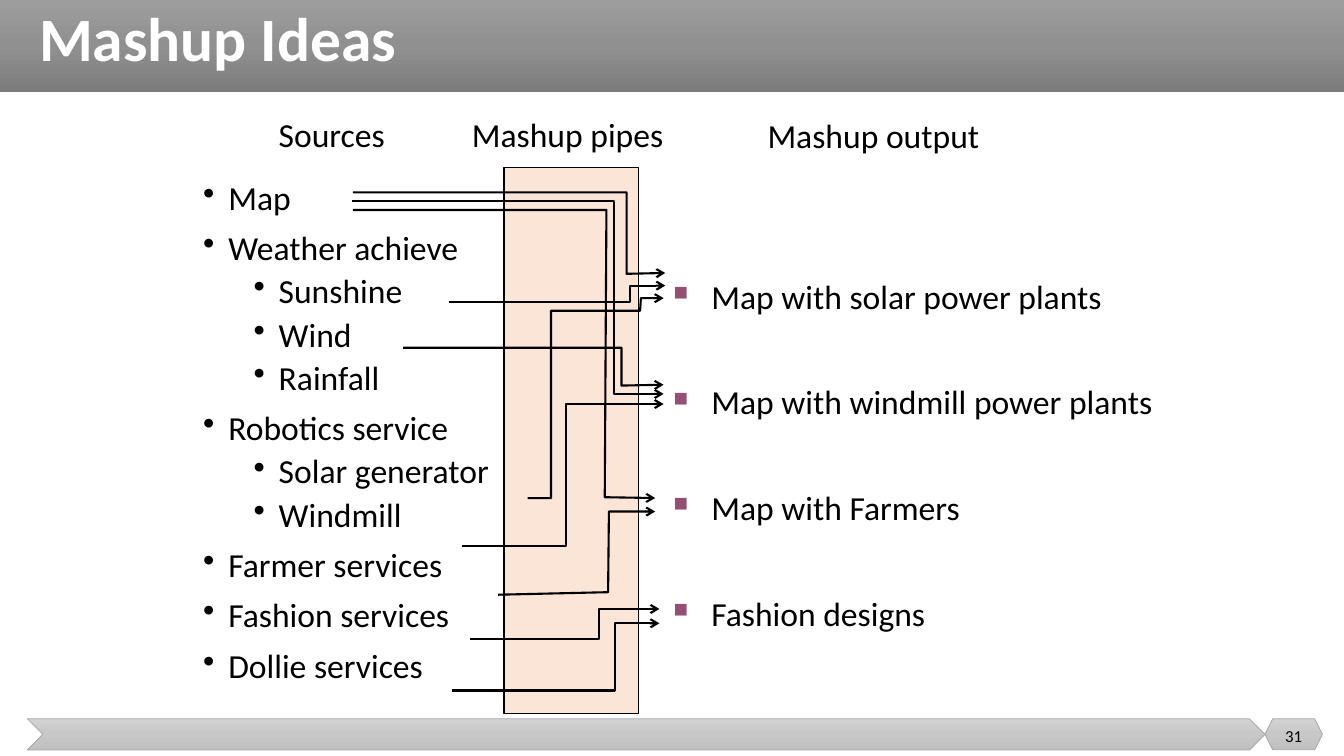
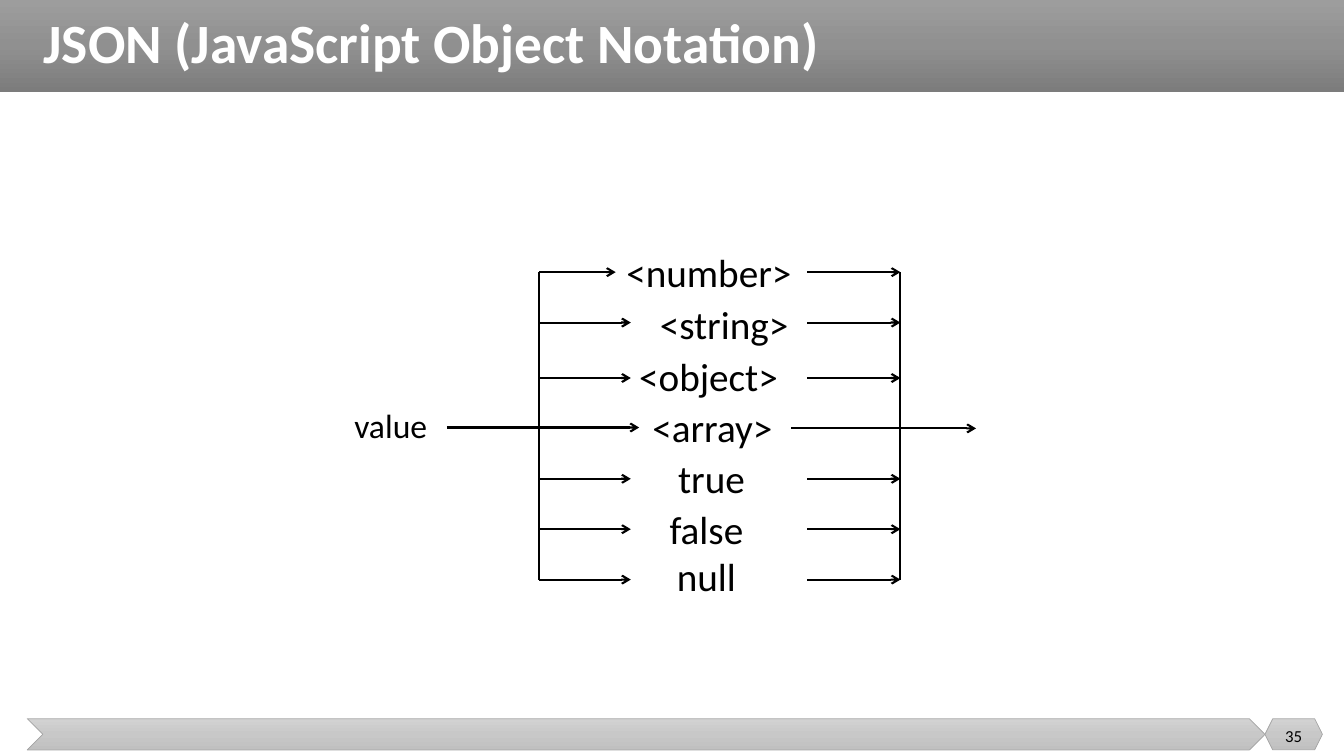
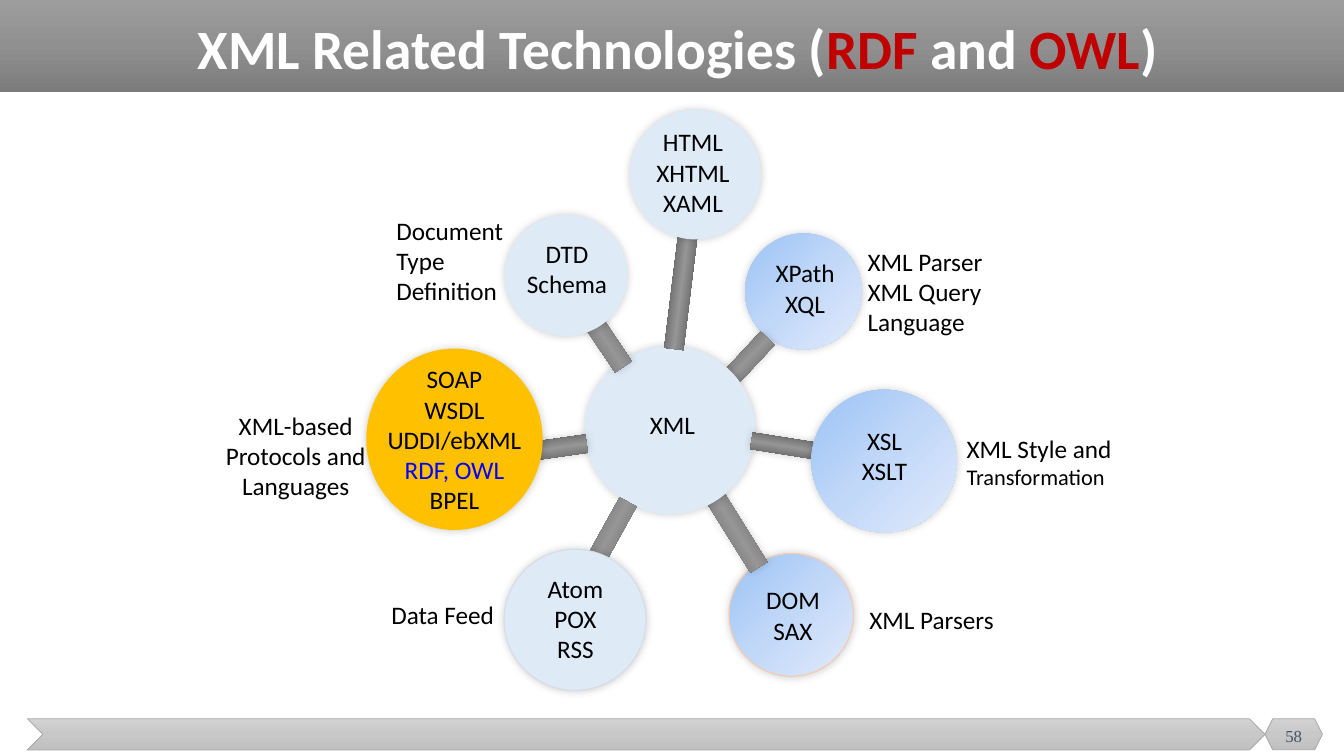
from dataclasses import dataclass

from lxml.etree import SubElement
from pptx import Presentation
from pptx.dml.color import RGBColor
from pptx.enum.shapes import MSO_CONNECTOR, MSO_SHAPE
from pptx.enum.text import MSO_ANCHOR, PP_ALIGN
from pptx.oxml.ns import qn
from pptx.util import Emu, Pt

CELL = 152400  # the slide is a grid of 80 columns by 45 rows
COLUMNS, ROWS = 80, 45
LEFT, CENTER, RIGHT = PP_ALIGN.LEFT, PP_ALIGN.CENTER, PP_ALIGN.RIGHT


@dataclass(frozen=True)
class Theme:
    font: str = "Calibri"
    number_font: str = "Times New Roman"
    ink: str = "000000"
    paper: str = "FFFFFF"
    slate: str = "44546A"
    red: str = "C00000"
    blue: str = "0000FF"
    plum: str = "954F72"
    peach: str = "FBE5D6"
    peach_edge: str = "F8CBAD"
    pale: str = "DEEBF7"
    pale_edge: str = "D6DCE5"
    gold: str = "FFC000"
    footer_edge: str = "A5A5A5"
    # gradients: three stops, then the clockwise angle
    band: tuple = ("9D9D9D", "909090", "7C7C7C", 90)
    footer: tuple = ("D2D2D2", "C8C8C8", "C0C0C0", 90)
    sky: tuple = ("9AC3F5", "C2D8F8", "E1EBFB", 45)
    steel: tuple = ("454545", "969696", "454545", 90)
    # type sizes
    large_title: float = 44
    title: float = 39.6
    term: float = 28
    body: float = 24
    label: float = 18
    note: float = 16
    number: float = 12


THEME = Theme()


@dataclass
class Line:
    """One paragraph; empty values fall back to those of its box."""
    text: str
    size: float = 0
    colour: str = ""


@dataclass
class Node:
    """A circle around the hub, with its rod and its side label."""
    lines: list
    circle: tuple
    rod: tuple
    turn: int
    words: tuple
    fill: object = THEME.pale
    edge: str = ""
    rod_shadow: bool = True
    label: tuple = ()
    label_at: tuple = ()
    label_align: object = CENTER


def cells(*lengths):
    return [Emu(round(length * CELL)) for length in lengths]


def rgb(code):
    return RGBColor.from_string(code)


# Shapes and lines
def paint(shape, fill):
    if isinstance(fill, str):
        shape.fill.solid()
        shape.fill.fore_color.rgb = rgb(fill)
        return
    *stops, angle = fill
    shape.fill.gradient()
    shape.fill.gradient_angle = 360 - angle
    stop_list = shape._element.spPr.find(qn("a:gradFill")).find(qn("a:gsLst"))
    for old in list(stop_list):
        stop_list.remove(old)
    for place, colour in zip((0, 50000, 100000), stops):
        stop = SubElement(stop_list, qn("a:gs"), pos=str(place))
        SubElement(stop, qn("a:srgbClr"), val=colour)


def add_soft_shadow(shape):
    effects = shape._element.spPr.find(qn("a:effectLst"))
    shadow = SubElement(effects, qn("a:outerShdw"), blurRad=str(Pt(6)),
                        dist="0", dir="18900000", rotWithShape="0")
    colour = SubElement(shadow, qn("a:srgbClr"), val=THEME.ink)
    SubElement(colour, qn("a:alpha"), val="20000")


def add_figure(page, kind, at, fill, edge="", width=0.75, turn=0, shadow=False):
    shape = page.shapes.add_shape(kind, *cells(*at))
    shape.shadow.inherit = False
    shape.rotation = turn
    paint(shape, fill)
    if edge:
        shape.line.color.rgb = rgb(edge)
        shape.line.width = Pt(width)
    else:
        shape.line.fill.background()
    if shadow:
        add_soft_shadow(shape)


def draw_stroke(item, arrow):
    item.line.color.rgb = rgb(THEME.ink)
    item.line.width = Pt(1.5)
    if arrow:
        SubElement(item.line._get_or_add_ln(), qn("a:tailEnd"), type="arrow")


def add_line(page, start, end, arrow=True):
    line = page.shapes.add_connector(MSO_CONNECTOR.STRAIGHT, *cells(*start, *end))
    draw_stroke(line, arrow)
    SubElement(line._element.spPr, qn("a:effectLst"))


def add_bent_arrow(page, points):
    start, *rest = [cells(*point) for point in points]
    builder = page.shapes.build_freeform(*start)
    builder.add_line_segments(rest, close=False)
    shape = builder.convert_to_shape()
    shape.shadow.inherit = False
    shape.fill.background()
    draw_stroke(shape, arrow=True)


# Text
def set_font(font, size, colour, name=THEME.font, bold=False):
    font.name = name
    font.size = Pt(size)
    font.bold = bold
    font.color.rgb = rgb(colour)


def add_box(page, at, wrap=True, anchor=MSO_ANCHOR.TOP):
    frame = page.shapes.add_textbox(*cells(*at)).text_frame
    frame.word_wrap = wrap
    frame.vertical_anchor = anchor
    return frame


def add_paras(frame, count):
    return [frame.paragraphs[0]] + [frame.add_paragraph() for _ in range(count - 1)]


def add_text(page, at, lines, size=THEME.label, align=LEFT, wrap=True,
             anchor=MSO_ANCHOR.TOP, colour=THEME.ink, font=THEME.font):
    frame = add_box(page, at, wrap, anchor)
    for para, line in zip(add_paras(frame, len(lines)), lines):
        line = line if isinstance(line, Line) else Line(line)
        para.text = line.text
        para.alignment = align
        set_font(para.font, line.size or size, line.colour or colour, font)


def add_bullet(para, sign, left, hang, colour="", percent=0):
    props = para._p.get_or_add_pPr()
    left, hang = cells(left, hang)
    props.set("marL", str(left))
    props.set("indent", str(-hang))
    if colour:
        SubElement(SubElement(props, qn("a:buClr")), qn("a:srgbClr"), val=colour)
    if percent:
        SubElement(props, qn("a:buSzPct"), val=str(percent * 1000))
    SubElement(props, qn("a:buChar"), char=sign)


def add_list(page, at, items, bullets, spacing, gaps):
    """Items are (level, text); bullets and gaps are given per level."""
    paras = add_paras(add_box(page, at), len(items))
    for index, (para, (level, text)) in enumerate(zip(paras, items)):
        para.text = text
        para.level = level
        para.line_spacing = spacing
        if index:
            para.space_before = Pt(gaps[level])
        add_bullet(para, *bullets[level])
        set_font(para.font, THEME.body, THEME.ink)


# What all slides share
def add_page(deck, number, number_font=THEME.font, number_colour=THEME.ink):
    page = deck.slides.add_slide(deck.slide_layouts[6])
    add_figure(page, MSO_SHAPE.RECTANGLE, (0, 0, COLUMNS, 5.46), THEME.band)
    for kind, left, width in ((MSO_SHAPE.CHEVRON, 1.62, 73.68),
                              (MSO_SHAPE.HEXAGON, 75.3, 3.42)):
        add_figure(page, kind, (left, 42.78, width, 1.86), THEME.footer,
                   THEME.footer_edge, 0.5)
    add_text(page, (75.3, 42.6, 3.42, 2.4), [number], THEME.number, CENTER,
             anchor=MSO_ANCHOR.MIDDLE, colour=number_colour, font=number_font)
    return page


def add_title(page, at, spans, size=THEME.title, align=LEFT):
    para = add_box(page, at, anchor=MSO_ANCHOR.MIDDLE).paragraphs[0]
    para.alignment = align
    para.line_spacing = 0.9
    set_font(para.font, size, THEME.paper, bold=True)
    for text, colour in spans:
        span = para.add_run()
        span.text = text
        span.font.color.rgb = rgb(colour)


# Slide: mashup ideas
def build_mashup(deck):
    page = add_page(deck, "31")
    add_figure(page, MSO_SHAPE.RECTANGLE, (30, 10, 8, 32.5), THEME.peach, THEME.ink)
    add_title(page, (1.74, 0, 65.28, 5), [("Mashup Ideas", THEME.paper)],
              THEME.large_title)

    sources = [
        (0, "Map"), (0, "Weather achieve"), (1, "Sunshine"), (1, "Wind"),
        (1, "Rainfall"), (0, "Robotics service"), (1, "Solar generator"),
        (1, "Windmill"), (0, "Farmer services"), (0, "Fashion services"),
        (0, "Dollie services"),
    ]
    add_list(page, (11.5, 10.5, 20, 32), sources,
             [("•", 1.5, 1.5), ("•", 4.5, 1.5)], 0.9, (10, 5))
    outputs = ["Map with solar power plants", "Map with windmill power plants",
               "Map with Farmers", "Fashion designs"]
    add_list(page, (39.5, 12.5, 30.5, 27), [(0, text) for text in outputs],
             [("■", 2.25, 2.25, THEME.plum, 60)], 2.5, (3.5,))

    for text, left, top, width in (("Sources", 16, 6.5, 7.6),
                                   ("Mashup pipes", 27.5, 6.5, 12.7),
                                   ("Mashup output", 45.1, 6.55, 13.9)):
        add_text(page, (left, top, width, 3), [text], THEME.body, wrap=False)

    pipes = [
        # map to farmers, windmills and solar plants
        [(21, 12.5), (36.1, 12.5), (36, 29.6), (39, 29.65)],
        [(20.95, 11.95), (36.55, 11.95), (36.55, 23.45), (39.5, 23.45)],
        [(21, 11.45), (37.3, 11.45), (37.3, 16.3), (39.6, 16.25)],
        # sunshine and wind
        [(26.75, 18), (37.5, 18), (37.5, 17), (39.6, 17)],
        [(24, 20.7), (37, 20.7), (37, 22.95), (39.5, 22.9)],
        # solar generator and windmill
        [(31.4, 29.65), (32.8, 29.65), (32.8, 18.5), (38.1, 18.5),
         (38.15, 17.75), (39.5, 17.75)],
        [(27.5, 32.5), (33.7, 32.5), (33.7, 24.05), (39.5, 24.05)],
        # farmer, fashion and doll services
        [(29.65, 35.4), (36.2, 35.25), (36.25, 30.45), (39, 30.45)],
        [(28, 38.05), (35.65, 38.05), (35.65, 36.25), (39.25, 36.25)],
        [(26.9, 41.1), (36.6, 41.1), (36.6, 37.1), (39.25, 37.1)],
    ]
    for points in pipes:
        add_bent_arrow(page, points)


# Slide: JSON value syntax
def build_json(deck):
    page = add_page(deck, "35")
    add_title(page, (2, 0.66, 66.7, 4.08),
              [("JSON (JavaScript Object Notation)", THEME.paper)])
    add_text(page, (20.5, 23.8, 6.2, 3), ["value"], THEME.body, wrap=False)
    terms = [
        ("<number>", 36.5, 14.5, 11.4), ("<string>", 38.5, 17.6, 9.2),
        ("<object>", 37.25, 20.65, 9.85), ("<array>", 38.05, 23.7, 8.7),
        ("true", 39.65, 26.75, 5.4), ("false", 39.1, 29.8, 5.9),
        ("null", 39.65, 32.6, 4.8),
    ]
    for text, left, top, width in terms:
        add_text(page, (left, top, width, 3.4), [text], THEME.term, CENTER, wrap=False)

    # Rails, branches and the main line
    left_rail, right_rail = 32.1, 53.6
    branches = (16.2, 19.2, 22.5, 28.5, 31.5, 34.5)
    for rail in (left_rail, right_rail):
        add_line(page, (rail, branches[0]), (rail, branches[-1]), arrow=False)
    for row in branches:
        tip = 36.65 if row == branches[0] else 37.55
        add_line(page, (left_rail, row), (tip, row))
        add_line(page, (48.05, row), (right_rail, row))
    add_line(page, (26.6, 25.45), (38.05, 25.45))
    add_line(page, (47.1, 25.5), (58.1, 25.5))


# Slide: XML and its related technologies
def add_circle(page, node):
    add_figure(page, MSO_SHAPE.OVAL, node.circle, node.fill, node.edge, shadow=True)


def add_rod(page, node):
    add_figure(page, MSO_SHAPE.RECTANGLE, node.rod, THEME.steel, turn=node.turn,
               shadow=node.rod_shadow)


def build_xml(deck):
    page = add_page(deck, "58", THEME.number_font, THEME.slate)
    add_title(page, (3.1, 1, 66.4, 4.08),
              [("XML Related Technologies (", THEME.paper), ("RDF", THEME.red),
               (" and ", THEME.paper), ("OWL", THEME.red), (")", THEME.paper)],
              align=RIGHT)

    behind_hub = [
        Node(["DOM", "SAX"], (43.4, 32.95, 7.4, 7.3), (40.55, 30.6, 6.05, 1.2), 238,
             (43.1, 34.5, 8.2, 4.25), THEME.sky, THEME.peach_edge,
             label=("XML Parsers",), label_at=(49.6, 35.65, 11.7, 2.4)),
        Node(["XPath", "XQL"], (44.35, 13.9, 6.95, 6.9), (42.5, 20.95, 3.8, 1.15), 313,
             (44.8, 15.05, 6.25, 4.25), THEME.sky,
             label=("XML Parser", "XML Query", "Language"),
             label_at=(51.05, 14.35, 10.2, 6.05), label_align=LEFT),
    ]
    before_hub = [
        Node(["DTD", "Schema"], (30.05, 12.8, 7.3, 7.2), (33.1, 19.1, 5.15, 1.2), 236,
             (30, 13.9, 7.5, 4.25), label=("Document", "Type Definition"),
             label_at=(23, 12.5, 8.3, 6.05), label_align=LEFT),
        Node(["XSL", "XSLT"], (48.3, 23.2, 8.65, 8.5), (44.7, 26.1, 4.6, 1), 9,
             (48.65, 25, 8, 4.25), THEME.sky,
             label=("XML Style and", Line("Transformation", THEME.note)),
             label_at=(56.95, 25.5, 10.8, 4), label_align=LEFT),
        Node(["SOAP", "WSDL", "UDDI/ebXML", Line("RDF, OWL", colour=THEME.blue), "BPEL"],
             (21.8, 20.75, 10.5, 10.8), (28.6, 26.3, 6.35, 1.1), 352,
             (21.8, 21.35, 10.5, 9.7), THEME.gold,
             label=("XML-based", "Protocols and Languages"),
             label_at=(11.75, 24.1, 11.7, 6.05)),
        Node(["Atom", "POX", "RSS"], (30, 32.7, 8.45, 8.4), (32.3, 32.3, 6.85, 1.15), 119,
             (31.7, 33.8, 5.1, 6.05), edge=THEME.pale_edge, rod_shadow=False,
             label=("Data Feed",), label_at=(20.5, 35.35, 11.7, 2.4)),
        Node(["HTML", "XHTML", "XAML"], (37.5, 6.55, 7.8, 7.7), (37.1, 16.8, 6.85, 1.15),
             97, (37.5, 7.25, 7.5, 6.05), rod_shadow=False),
    ]
    # Rods of the first group run under the hub, the others over it
    for node in behind_hub:
        add_circle(page, node)
        add_rod(page, node)
    add_figure(page, MSO_SHAPE.OVAL, (34.8, 20.6, 10.15, 10), THEME.pale, shadow=True)
    add_text(page, (37.15, 24.1, 5.75, 2.4), ["XML"], align=CENTER)
    for node in before_hub:
        add_rod(page, node)
        add_circle(page, node)
    for node in behind_hub + before_hub:
        add_text(page, node.words, node.lines, align=CENTER)
        if node.label:
            add_text(page, node.label_at, node.label, align=node.label_align)


def main():
    deck = Presentation()
    deck.slide_width, deck.slide_height = cells(COLUMNS, ROWS)
    build_mashup(deck)
    build_json(deck)
    build_xml(deck)
    deck.save("out.pptx")


if __name__ == "__main__":
    main()
